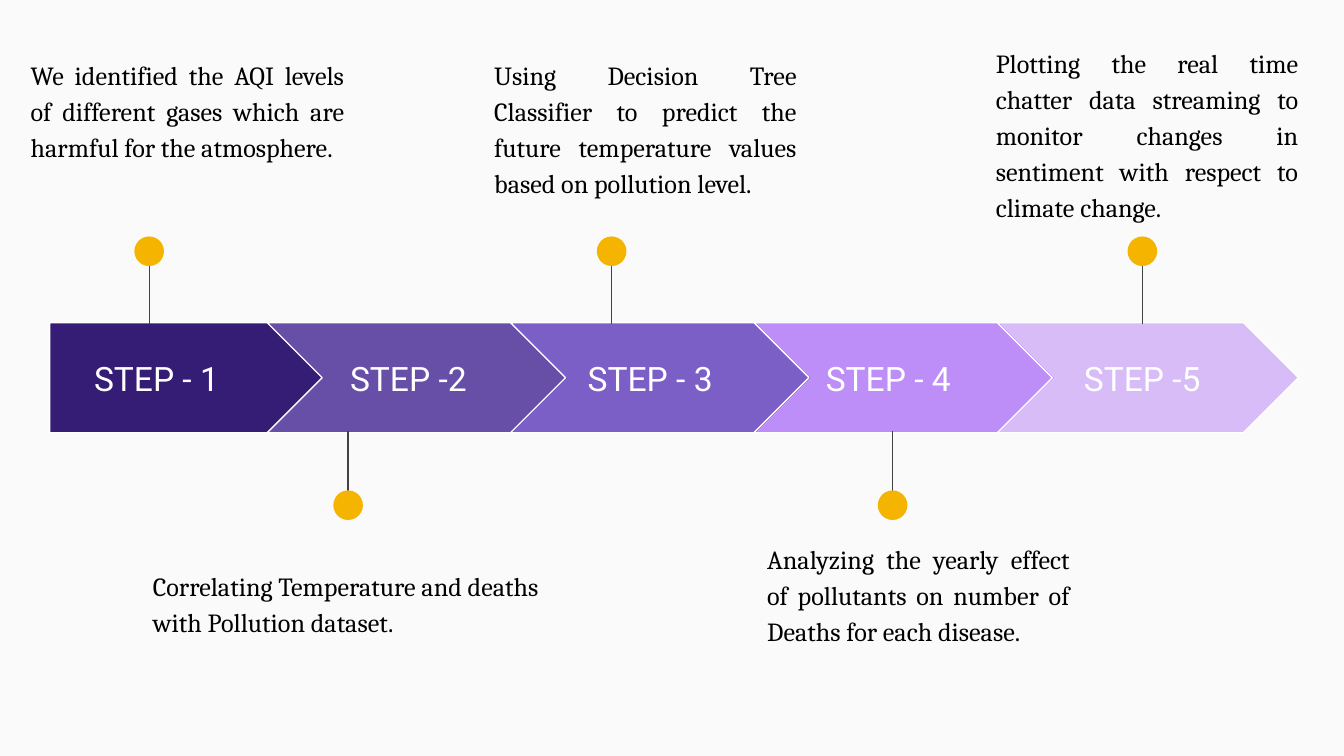
"""Build a five-step process slide with chevrons, pins and notes."""
from lxml.etree import SubElement
from pptx import Presentation
from pptx.dml.color import RGBColor
from pptx.enum.shapes import MSO_CONNECTOR, MSO_SHAPE
from pptx.enum.text import MSO_ANCHOR, PP_ALIGN
from pptx.oxml.ns import qn
from pptx.util import Cm, Pt

PAPER = RGBColor(0xFA, 0xFA, 0xFA)
WHITE = RGBColor(0xFF, 0xFF, 0xFF)
BLACK = RGBColor(0x00, 0x00, 0x00)
GREY = RGBColor(0x42, 0x42, 0x42)
GOLD = RGBColor(0xF4, 0xB4, 0x00)
NAVY = RGBColor(0x35, 0x1C, 0x75)
PLUM = RGBColor(0x67, 0x4E, 0xA7)
INDIGO = RGBColor(0x52, 0x2B, 0xB7)
VIOLET = RGBColor(0x7A, 0x15, 0xF4)

BAND, TALL = 6.1, 2.08
DOT = 0.56
FIRST, PITCH = 5.05, 4.6


class Deck:
    def __init__(self, slide):
        self.shapes = slide.shapes
        self.note_font = "Cambria"
        self.step_font = "Roboto"

    def solid(self, kind, box, color, alpha=100):
        shape = self.shapes.add_shape(kind, *map(Cm, box))
        shape.shadow.inherit = False
        shape.fill.solid()
        shape.fill.fore_color.rgb = color
        if alpha < 100:
            tint = shape.fill._xPr.find(".//" + qn("a:srgbClr"))
            SubElement(tint, qn("a:alpha")).set("val", str(alpha * 1000))
        return shape

    def arrow(self, kind, left, width, color, alpha):
        shape = self.solid(kind, (left, BAND, width, TALL), color, alpha)
        shape.line.color.rgb = WHITE
        shape.line.width = Pt(0.75)

    def text(self, box, words, align, name, size, color):
        frame = self.shapes.add_textbox(*map(Cm, box)).text_frame
        frame.word_wrap = True
        frame.margin_left = frame.margin_right = Cm(0.25)
        frame.margin_top = frame.margin_bottom = Cm(0.25)
        para = frame.paragraphs[0]
        para.text = words
        para.alignment = align
        para.font.name = name
        para.font.size = Pt(size)
        para.font.color.rgb = color
        return frame

    def label(self, left, width, words):
        frame = self.text((left, 6.5, width, 1.3), words, PP_ALIGN.CENTER,
                          self.step_font, 18, WHITE)
        frame.vertical_anchor = MSO_ANCHOR.MIDDLE

    def note(self, box, words, align):
        frame = self.text(box, words, align, self.note_font, 14, BLACK)
        para = frame.paragraphs[0]
        para.line_spacing = 1.15
        para.space_after = Pt(16)

    def pin(self, mid, above):
        start, end, top = (4.57, 6.12, 4.47) if above else (9.7, 8.15, 9.27)
        stem = self.shapes.add_connector(
            MSO_CONNECTOR.STRAIGHT, Cm(mid), Cm(start), Cm(mid), Cm(end))
        stem.line.color.rgb = GREY
        stem.line.width = Pt(0.75)
        SubElement(stem._element.spPr, qn("a:effectLst"))
        dot = self.solid(MSO_SHAPE.OVAL, (mid - DOT / 2, top, DOT, DOT), GOLD)
        dot.line.fill.background()


STEPS = [
    ("STEP - 1", 0.94, NAVY, 100, 2.82, (0.33, 0.79, 6.43, 3.51),
     "We identified the AQI levels of different gases which are harmful "
     "for the atmosphere.", PP_ALIGN.JUSTIFY),
    ("STEP -2", 5.89, PLUM, 100, 6.58, (2.64, 10.44, 7.82, 2.51),
     "Correlating Temperature and deaths with Pollution dataset.",
     PP_ALIGN.LEFT),
    ("STEP - 3", 10.46, INDIGO, 75, 11.56, (9.09, 0.79, 6.22, 3.91),
     "Using Decision Tree Classifier to predict the future temperature "
     "values based on pollution level.", PP_ALIGN.JUSTIFY),
    ("STEP - 4", 14.96, VIOLET, 47, 16.87, (14.25, 9.93, 6.22, 3.02),
     "Analyzing the yearly effect of pollutants on number of Deaths for "
     "each disease.", PP_ALIGN.JUSTIFY),
    ("STEP -5", 19.76, VIOLET, 27, 21.59, (18.57, 0.56, 6.22, 3.91),
     "Plotting the real time chatter data streaming to monitor changes in "
     "sentiment with respect to climate change.", PP_ALIGN.JUSTIFY),
]


def main():
    show = Presentation()
    show.slide_width, show.slide_height = Cm(25.4), Cm(14.29)
    slide = show.slides.add_slide(show.slide_layouts[6])
    slide.background.fill.solid()
    slide.background.fill.fore_color.rgb = PAPER
    deck = Deck(slide)
    for i, (name, left, color, alpha, mid, box, words, align) in enumerate(STEPS):
        if i == 0:
            deck.arrow(MSO_SHAPE.PENTAGON, left, 5.21, color, alpha)
        else:
            start = FIRST + PITCH * (i - 1)
            deck.arrow(MSO_SHAPE.CHEVRON, start, 5.69, color, alpha)
        deck.label(left, 3.66 if i else 4.04, name)
        deck.pin(mid, i % 2 == 0)
        deck.note(box, words, align)
    show.save("out.pptx")


if __name__ == "__main__":
    main()
